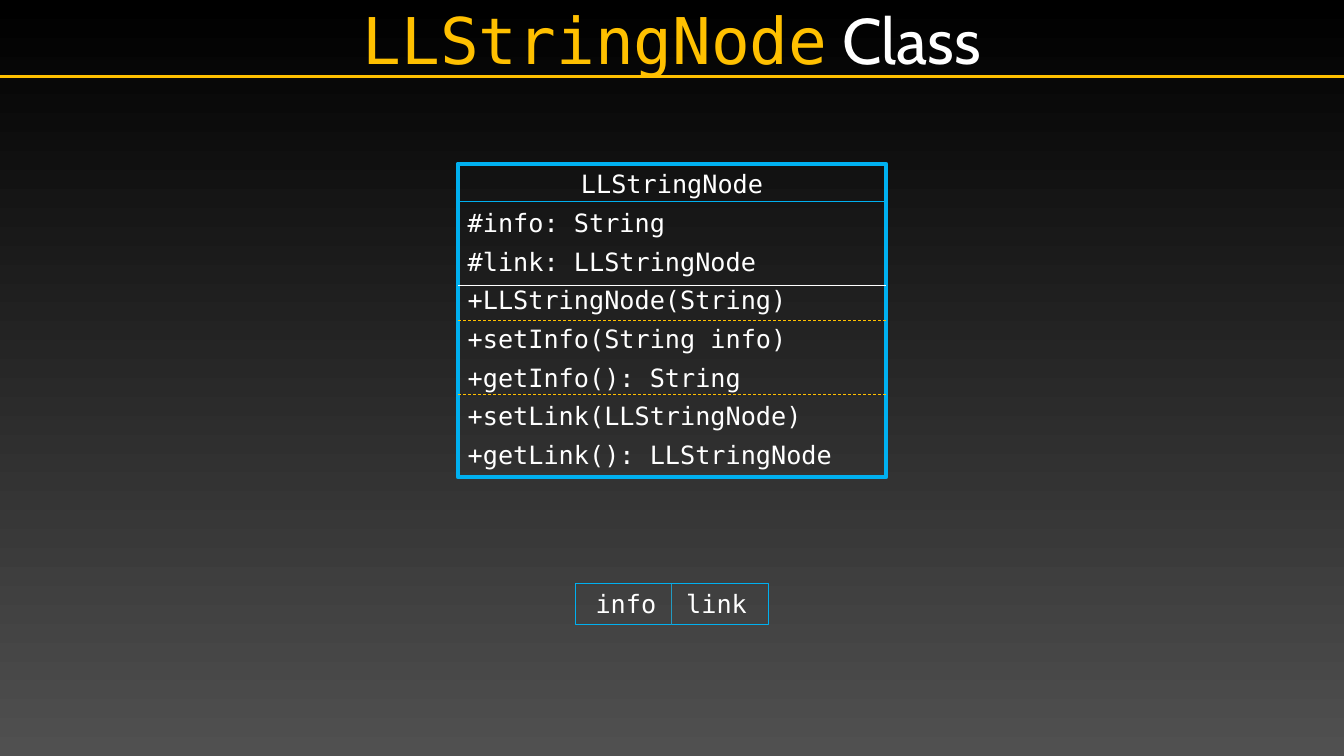
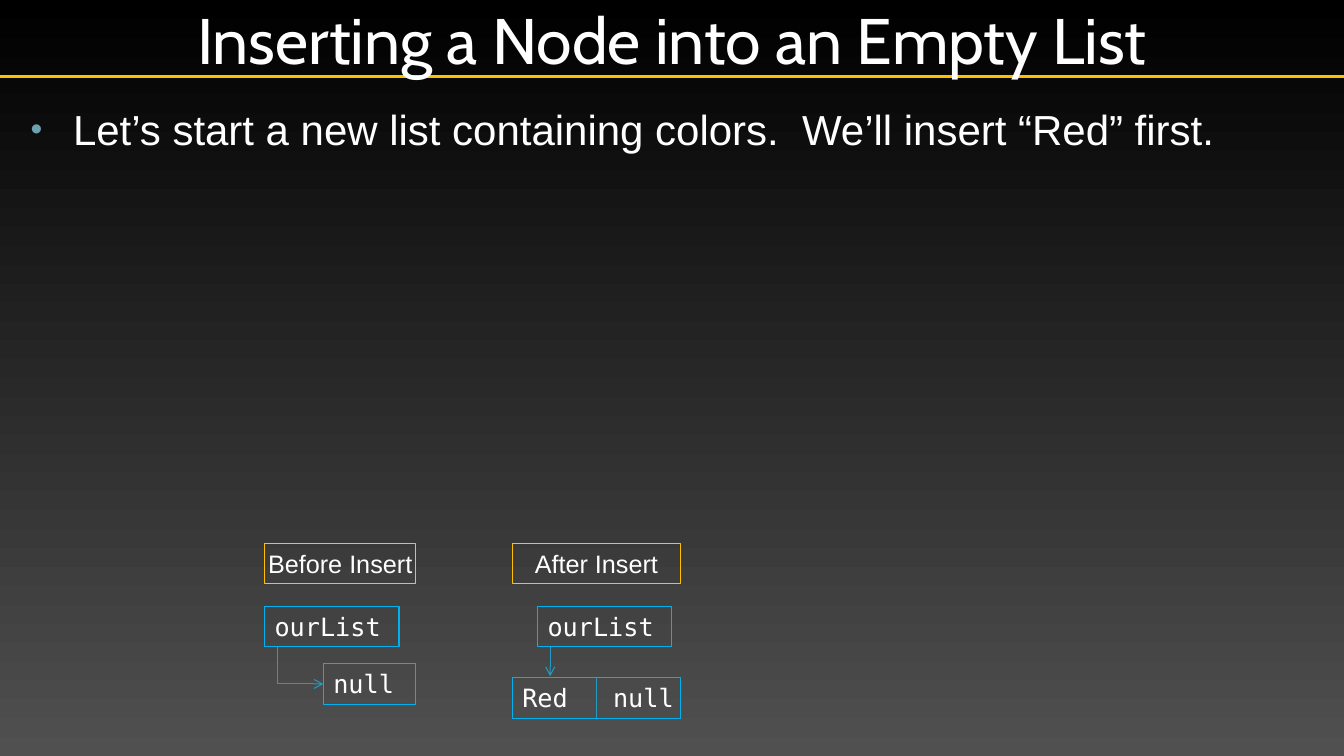
from lxml import etree
from pptx import Presentation
from pptx.dml.color import RGBColor
from pptx.enum.dml import MSO_LINE
from pptx.enum.shapes import MSO_CONNECTOR, MSO_SHAPE
from pptx.enum.text import MSO_ANCHOR, MSO_AUTO_SIZE, PP_ALIGN
from pptx.oxml.ns import qn
from pptx.util import Inches, Pt

BLACK = RGBColor(0x00, 0x00, 0x00)
GRAY = RGBColor(0x50, 0x50, 0x50)
WHITE = RGBColor(0xFF, 0xFF, 0xFF)
GOLD = RGBColor(0xFF, 0xC0, 0x00)
BLUE = RGBColor(0x00, 0xB0, 0xF0)
TEAL = RGBColor(0x23, 0x9B, 0xC2)
BULLET = RGBColor(0x6E, 0xA0, 0xB0)

CODE, HEADING, PROSE = "DejaVu Sans Mono", "Cabin", "Arial"

# The slide is a grid of 320 columns by 180 rows of square cells.
COLUMNS, ROWS = 320, 180
CELL = Inches(7.5) / ROWS
BOX_HEIGHT = 9.7


def grid(*counts):
    return [round(count * CELL) for count in counts]


def add_box(slide, lines, place, border=None, weight=0.75, font=CODE, size=18,
            align=PP_ALIGN.LEFT, inset=0.1, right_inset=None, gap=0,
            heading=False, tab=None, bullet=False):
    """Add a text rectangle; heading centres its first line, tab is in inches."""
    box = slide.shapes.add_shape(MSO_SHAPE.RECTANGLE, *grid(*place))
    box.shadow.inherit = False
    box.fill.background()
    if border is None:
        box.line.fill.background()
    else:
        box.line.color.rgb = border
        box.line.width = Pt(weight)
    frame = box.text_frame
    frame.word_wrap = True
    frame.vertical_anchor = MSO_ANCHOR.TOP
    frame.margin_left = Inches(inset)
    frame.margin_right = Inches(inset if right_inset is None else right_inset)
    for index, line in enumerate(lines):
        para = frame.add_paragraph() if index else frame.paragraphs[0]
        para.alignment = PP_ALIGN.CENTER if heading and index == 0 else align
        if index:
            para.space_before = Pt(gap)
        props = para._p.get_or_add_pPr()
        if bullet:
            props.set("marL", str(Inches(0.46)))
            props.set("indent", str(Inches(-0.42)))
            color = etree.SubElement(props, qn("a:buClr"))
            etree.SubElement(color, qn("a:srgbClr"), val=str(BULLET))
            etree.SubElement(props, qn("a:buSzPct"), val="80000")
            etree.SubElement(props, qn("a:buFont"), typeface=PROSE)
            etree.SubElement(props, qn("a:buChar"), char="•")
        if tab:
            tabs = etree.SubElement(props, qn("a:tabLst"))
            etree.SubElement(tabs, qn("a:tab"), pos=str(Inches(tab)), algn="l")
        span = para.add_run()
        span.text = line
        span.font.name = font
        span.font.size = Pt(size)
        span.font.color.rgb = WHITE
    return box


def add_line(slide, ends, color=TEAL, weight=0.75, dash=None, arrow=False):
    line = slide.shapes.add_connector(MSO_CONNECTOR.STRAIGHT, *grid(*ends))
    line.line.color.rgb = color
    line.line.width = Pt(weight)
    if dash:
        line.line.dash_style = dash
    if arrow:
        etree.SubElement(line.line._get_or_add_ln(), qn("a:tailEnd"), type="arrow")
    etree.SubElement(line.element.spPr, qn("a:effectLst"))
    return line


deck = Presentation()
deck.slide_width, deck.slide_height = grid(COLUMNS, ROWS)

# Shared layout: background, title position and the rule under the title
layout = deck.slide_layouts.get_by_name("Title Only")
background = layout.background.fill
background.gradient()
background.gradient_angle = 270
for stop, color in zip(background.gradient_stops, (BLACK, GRAY)):
    stop.color.rgb = color

title = layout.placeholders[0]
title.left, title.top, title.width, title.height = grid(40, 0, 240, 18.5)
frame = title.text_frame
frame.auto_size = MSO_AUTO_SIZE.NONE
frame.vertical_anchor = MSO_ANCHOR.MIDDLE
frame.margin_left = frame.margin_right = Inches(0.05)
frame.margin_top = frame.margin_bottom = Inches(0.05)

TITLES = [
    [("LLStringNode", CODE, GOLD), (" Class", HEADING, WHITE)],
    [("Inserting a Node into an Empty List", HEADING, WHITE)],
]
for parts in TITLES:
    page = deck.slides.add_slide(layout)
    para = page.shapes.title.text_frame.paragraphs[0]
    para.alignment = PP_ALIGN.CENTER
    for text, font, color in parts:
        span = para.add_run()
        span.text = text
        span.font.name = font
        span.font.size = Pt(46)
        span.font.color.rgb = color

class_page, insert_page = deck.slides
rule = add_line(class_page, (0, 18.2, COLUMNS, 18.2), GOLD, 2.5)
rule.element.nvCxnSpPr.cNvPr.set("id", "20")
layout.shapes.element.append(rule.element)

# Class diagram
CLASS_LEFT, CLASS_WIDTH = 109, 102
add_box(class_page, [
    "LLStringNode",
    "#info: String",
    "#link: LLStringNode",
    "+LLStringNode(String)",
    "+setInfo(String info)",
    "+getInfo(): String",
    "+setLink(LLStringNode)",
    "+getLink(): LLStringNode",
], (CLASS_LEFT, 39, CLASS_WIDTH, 74.6), BLUE, weight=3, gap=6, heading=True)
for row, color, weight, dash in [
    (48, BLUE, 1, None),
    (68, WHITE, 1, None),
    (76.3, GOLD, 0.5, MSO_LINE.DASH),
    (94, GOLD, 0.5, MSO_LINE.DASH),
]:
    add_line(class_page, (CLASS_LEFT, row, CLASS_LEFT + CLASS_WIDTH, row),
             color, weight, dash)

# Bulleted text
add_box(insert_page,
        ["Let’s start a new list containing colors.  We’ll insert “Red” first."],
        (4, 23.5, 312, 151), font=PROSE, size=30, bullet=True)

# Nodes: two fields with a divider in the middle
for page, fields, left, top, width, inset in [
    (class_page, "info\tlink", 137, 139, 46, 0.2),
    (insert_page, "Red\tnull", 122, 161.3, 40, 0.1),
]:
    node = add_box(page, [fields], (left, top, width, BOX_HEIGHT), BLUE,
                   inset=inset, right_inset=0, tab=0.9)
    middle = left + width / 2
    divider = add_line(page, (middle, top, middle, top + BOX_HEIGHT))
    divider.begin_connect(node, 0)
    divider.end_connect(node, 2)

# Captions and list references
for caption, left, width in [("Before Insert", 63, 36), ("After Insert", 122, 40)]:
    add_box(insert_page, [caption], (left, 129.3, width, BOX_HEIGHT), GOLD,
            font=PROSE, align=PP_ALIGN.CENTER, inset=0)
for left in (63, 128):
    add_box(insert_page, ["ourList"], (left, 144.3, 32, BOX_HEIGHT), BLUE)
null_box = add_box(insert_page, ["null"], (77, 158, 22, BOX_HEIGHT), BLUE)

# Arrows from the references
bend = 158 + BOX_HEIGHT / 2
add_line(insert_page, (66, 154, 66, bend))
null_arrow = add_line(insert_page, (66, bend, 77, bend), arrow=True)
null_arrow.end_connect(null_box, 1)
add_line(insert_page, (131, 154, 131, 161), arrow=True)

deck.save("out.pptx")
